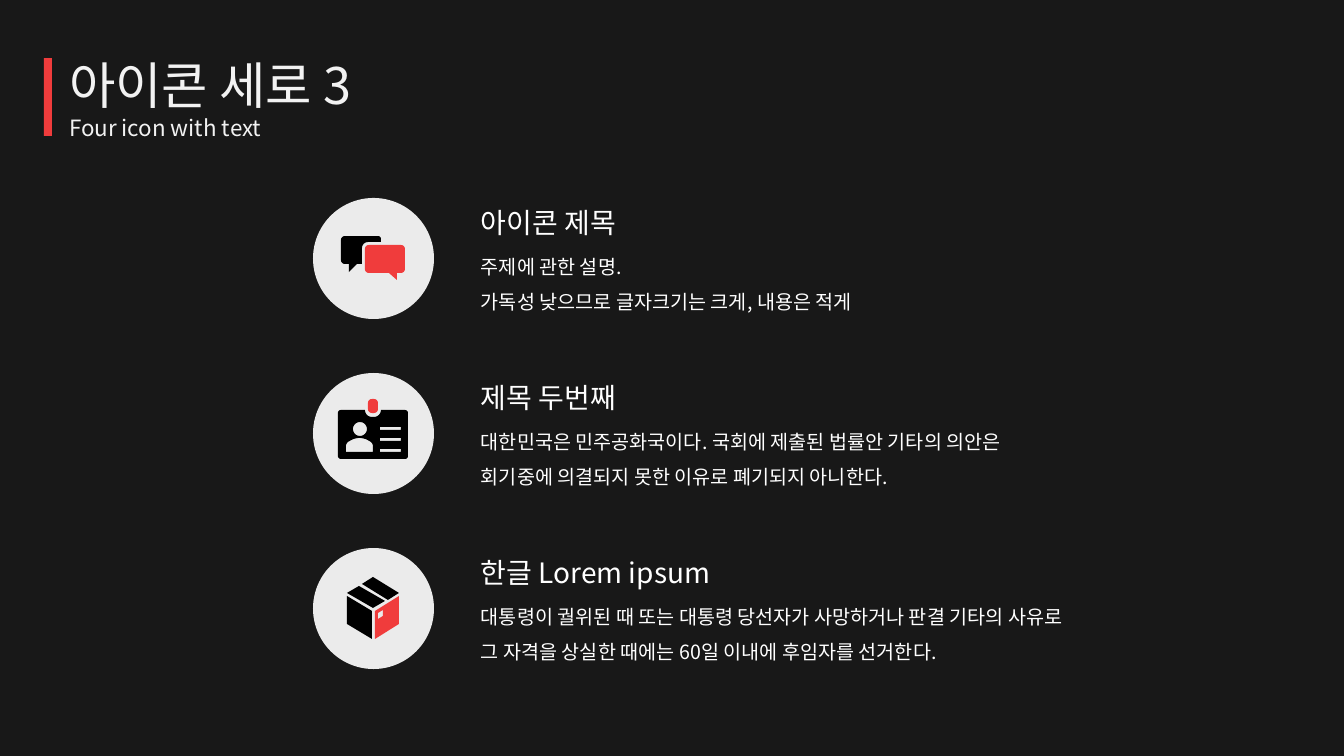
from math import hypot

from pptx import Presentation
from pptx import util as u
from pptx.dml.color import RGBColor
from pptx.enum import shapes, text
from pptx.oxml.ns import qn
from lxml import etree

PX = 914400 / 100.8
COLORS = {
    "background": "181818",
    "accent": "F03C3C",
    "title": "F2F2F2",
    "text": "FFFFFF",
    "disc": "EBEBEB",
    "icon": "000000",
}
ROUNDING = 0.55
CURVE_STEPS = 8


def px(value):
    return u.Emu(round(value * PX))


def rectangle(left, top, width, height, radius=0):
    right, bottom = left + width, top + height
    return [(left, top, radius), (right, top, radius),
            (right, bottom, radius), (left, bottom, radius)]


def rounded(outline):
    corners = [(*corner, 0)[:3] for corner in outline]
    points = []
    for i, (x, y, radius) in enumerate(corners):
        if not radius:
            points.append((x, y))
            continue
        reach = []
        for nx, ny, _ in (corners[i - 1], corners[(i + 1) % len(corners)]):
            length = hypot(nx - x, ny - y)
            reach.append(((nx - x) * radius / length, (ny - y) * radius / length))
        (ax, ay), (bx, by) = reach
        for step in range(CURVE_STEPS + 1):
            t = step / CURVE_STEPS
            a = (1 - t) ** 3 + 3 * t * (1 - t) ** 2 * (1 - ROUNDING)
            b = t ** 3 + 3 * t ** 2 * (1 - t) * (1 - ROUNDING)
            points.append((x + a * ax + b * bx, y + a * ay + b * by))
    return points


class Deck:
    font = "Noto Sans CJK KR"

    def __init__(self):
        self.file = Presentation()
        self.file.slide_width, self.file.slide_height = px(1344), px(756)
        self.slide = self.file.slides.add_slide(self.file.slide_layouts[5])
        self.paint(self.slide.background, "background")

    def paint(self, part, color):
        part.fill.solid()
        part.fill.fore_color.rgb = RGBColor.from_string(COLORS[color])

    def finish(self, shape, color):
        shape.shadow.inherit = False
        shape.line.fill.background()
        self.paint(shape, color)

    def shape(self, kind, box, color):
        self.finish(self.slide.shapes.add_shape(kind, *map(px, box)), color)

    def set_text(self, holder, lines, sizes, color, spacing=1.0):
        frame = holder.text_frame
        frame.text = "\n".join(lines)
        frame.word_wrap = False
        frame.auto_size = text.MSO_AUTO_SIZE.SHAPE_TO_FIT_TEXT
        for paragraph, size in zip(frame.paragraphs, sizes):
            paragraph.alignment = text.PP_ALIGN.LEFT
            paragraph.line_spacing = spacing
            for run in paragraph.runs:
                run.font.size = u.Pt(size)
                run.font.color.rgb = RGBColor.from_string(COLORS[color])
                run.font.name = self.font
                east_asian = etree.SubElement(run.font._element, qn("a:ea"))
                east_asian.set("typeface", self.font)

    def title(self, box, lines, sizes):
        heading = self.slide.shapes.title
        heading.left, heading.top, heading.width, heading.height = map(px, box)
        self.set_text(heading, lines, sizes, "title")
        heading.text_frame.vertical_anchor = text.MSO_ANCHOR.MIDDLE

    def text(self, box, lines, size, spacing=1.0):
        label = self.slide.shapes.add_textbox(*map(px, box))
        self.set_text(label, lines, [size] * len(lines), "text", spacing)

    def icon(self, center_x, center_y, parts):
        group = self.slide.shapes.add_group_shape()
        for color, outlines in parts:
            builder = None
            for outline in outlines:
                points = [(px(center_x + x), px(center_y + y))
                          for x, y in rounded(outline)]
                if builder is None:
                    builder = group.shapes.build_freeform(*points[0])
                else:
                    builder.move_to(*points[0])
                builder.add_line_segments(points[1:], close=True)
            self.finish(builder.convert_to_shape(), color)


CHAT = [
    ("icon", [[(-32, -22, 4), (8, -22, 3), (8, -16), (-11, -16, 6), (-11, 6),
               (-16, 6), (-24, 14), (-24, 6), (-32, 6, 4)]]),
    ("accent", [[(-8, -13, 4), (32, -13, 4), (32, 15, 4), (24, 15),
                 (24, 22), (16, 15), (-8, 15, 4)]]),
]

card = [(-35, -23, 3), (-8, -23), (-8, -16, 7), (8, -16, 7), (8, -23),
        (35, -23, 3), (35, 26, 3), (-35, 26, 3)]
head = rectangle(-20, -11, 14, 14, 7)
shoulders = [(-27, 19), (-27, 10, 3), (-18, 5, 4), (-9, 5, 4), (0, 10, 3), (0, 19)]
card_lines = [rectangle(7, -6 + 11 * row, 21, 3) for row in range(3)]
BADGE = [
    ("accent", [rectangle(-5, -34, 10, 14, 4)]),
    ("icon", [card, head, shoulders, *card_lines]),
]

PARCEL = [
    ("icon", [[(-14, -22), (-26, -15), (0, 0), (12, -7)]]),
    ("icon", [[(26, -15), (0, -31), (-11, -24), (15, -8)]]),
    ("icon", [[(-26, -12), (-26, 16), (-1, 31), (-1, 3)]]),
    ("accent", [[(2, 3), (2, 31), (26, 16), (26, -12)],
                [(10, 8), (5, 11), (5, 5), (10, 2)]]),
]

TOPICS = [
    (CHAT, "아이콘 제목", 165,
     ["주제에 관한 설명.", "가독성 낮으므로 글자크기는 크게, 내용은 적게"], 418),
    (BADGE, "제목 두번째", 165,
     ["대한민국은 민주공화국이다. 국회에 제출된 법률안 기타의 의안은",
      "회기중에 의결되지 못한 이유로 폐기되지 아니한다."], 578),
    (PARCEL, "한글 Lorem ipsum", 260,
     ["대통령이 궐위된 때 또는 대통령 당선자가 사망하거나 판결 기타의 사유로",
      "그 자격을 상실한 때에는 60일 이내에 후임자를 선거한다."], 647),
]
ROW_PITCH = 175


def main():
    deck = Deck()
    deck.shape(shapes.MSO_SHAPE.RECTANGLE, (44, 58, 8, 78), "accent")
    deck.title((59, 48, 325, 99), ["아이콘 세로 3", "Four icon with text"], [36, 16])
    for row, (icon, heading, heading_width, details, details_width) in enumerate(TOPICS):
        drop = row * ROW_PITCH
        deck.shape(shapes.MSO_SHAPE.OVAL, (313, 198 + drop, 121, 121), "disc")
        deck.icon(373, 258 + drop, icon)
        deck.text((471, 201 + drop, heading_width, 44), [heading], 20)
        deck.text((471, 238 + drop, details_width, 79), details, 14, 1.5)
    deck.file.save("out.pptx")


if __name__ == "__main__":
    main()
